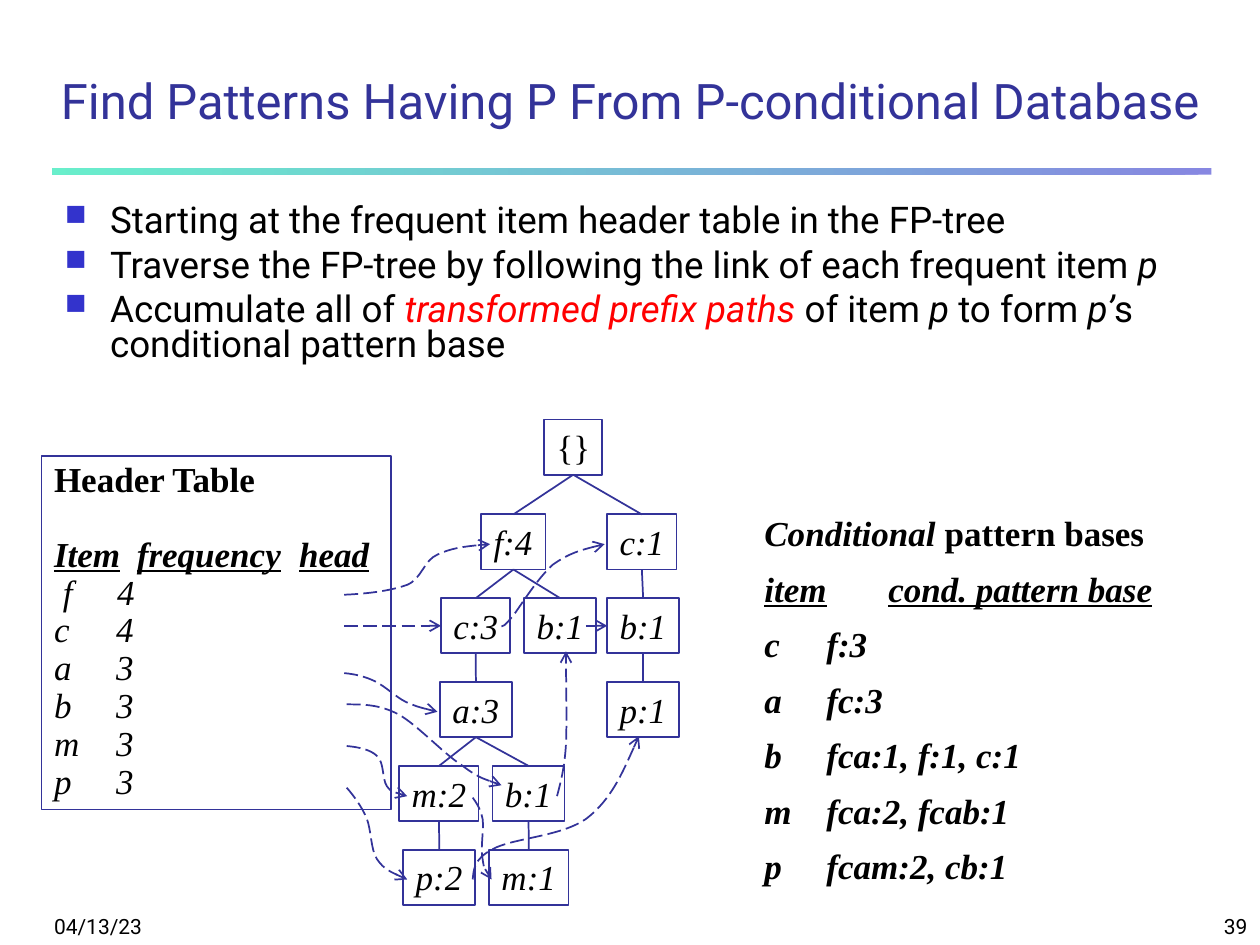
from lxml import etree
from pptx import Presentation
from pptx.dml.color import RGBColor
from pptx.enum.dml import MSO_LINE
from pptx.enum.shapes import MSO_CONNECTOR, MSO_SHAPE
from pptx.enum.text import MSO_ANCHOR, MSO_AUTO_SIZE, PP_ALIGN
from pptx.oxml.ns import qn
from pptx.util import Cm, Pt

COLORS = {"ink": "000000", "navy": "333399", "bullet": "3333CC", "mint": "00E4A8", "red": "FF0000"}
SANS, SERIF = "Roboto", "Times New Roman"
RECTANGLE = MSO_SHAPE.RECTANGLE
STRAIGHT = MSO_CONNECTOR.STRAIGHT
LONG_DASH = MSO_LINE.LONG_DASH
TOP, BOTTOM = MSO_ANCHOR.TOP, MSO_ANCHOR.BOTTOM
LEFT, CENTER, RIGHT = PP_ALIGN.LEFT, PP_ALIGN.CENTER, PP_ALIGN.RIGHT
SIDE_TOP, SIDE_LEFT, SIDE_BOTTOM = 0, 1, 2

NODE_HEIGHT, FIRST_LEVEL, LEVEL_STEP = 1.11, 1.91, 1.69
NODES = {
    "root": ("{}", 0, 10.13, 1.17),
    "f4": ("f:4", 1, 8.86, 1.3),
    "c1": ("c:1", 1, 11.4, 1.4),
    "c3": ("c:3", 2, 8.05, 1.4),
    "b1 middle": ("b:1", 2, 9.73, 1.45),
    "b1 right": ("b:1", 2, 11.4, 1.45),
    "a3": ("a:3", 3, 8.03, 1.45),
    "p1": ("p:1", 3, 11.4, 1.45),
    "m2": ("m:2", 4, 7.21, 1.6),
    "b1 low": ("b:1", 4, 9.09, 1.45),
    "p2": ("p:2", 5, 7.29, 1.45),
    "m1": ("m:1", 5, 9.02, 1.6),
}
EDGES = [("root", "f4"), ("root", "c1"), ("f4", "c3"), ("f4", "b1 middle"), ("c1", "b1 right"),
         ("b1 right", "p1"), ("c3", "a3"), ("a3", "m2"), ("a3", "b1 low"), ("m2", "p2"),
         ("b1 low", "m1")]
STRAIGHT_LINKS = [(6.1, "c3"), (10.97, "b1 right")]
CURVED_LINKS = [
    [(6.1, 3.53), (6.58, 3.51), (7.04, 3.45), (7.37, 3.33), (7.67, 3.2), (7.7, 2.84), (7.98, 2.72),
     (8.26, 2.59), (8.64, 2.54), (9.04, 2.51)],
    [(9.27, 4.17), (9.3, 4.17), (9.32, 4.17), (9.5, 3.96), (9.65, 3.76), (10.01, 3.18),
     (10.31, 2.92), (10.64, 2.69), (11, 2.59), (11.35, 2.51)],
    [(6.1, 5.11), (6.32, 5.13), (6.53, 5.18), (6.73, 5.28), (6.93, 5.38), (7.14, 5.59),
     (7.34, 5.69), (7.57, 5.79), (7.77, 5.84), (7.98, 5.89)],
    [(6.15, 5.74), (6.48, 5.74), (6.81, 5.74), (7.19, 5.94), (7.57, 6.15), (8.1, 6.73),
     (8.46, 6.96), (8.79, 7.21), (9.04, 7.29), (9.27, 7.37)],
    [(10.39, 7.59), (10.46, 7.32), (10.54, 7.04), (10.57, 6.55), (10.59, 6.07), (10.57, 5.36),
     (10.57, 4.67)],
    [(6.15, 6.58), (6.38, 6.6), (6.63, 6.65), (6.76, 6.78), (6.91, 6.91), (6.86, 7.24),
     (6.96, 7.39), (7.06, 7.52), (7.21, 7.54), (7.37, 7.59)],
    [(8.69, 7.62), (8.76, 7.72), (8.84, 7.82), (8.89, 8.05), (8.92, 8.26), (8.84, 8.66),
     (8.89, 8.86), (8.92, 9.07), (8.99, 9.17), (9.07, 9.27)],
    [(6.15, 7.42), (6.3, 7.59), (6.45, 7.8), (6.55, 8.03), (6.65, 8.28), (6.63, 8.66),
     (6.76, 8.86), (6.91, 9.07), (7.14, 9.17), (7.37, 9.27)],
    [(8.69, 9.27), (8.71, 9.07), (8.71, 8.86), (9.09, 8.66), (9.5, 8.43), (10.49, 8.41),
     (11, 8.03), (11.48, 7.65), (11.76, 7.01), (12.04, 6.38)],
]


def rgb(name):
    return RGBColor.from_string(COLORS[name])


def write_runs(paragraph, runs, size, font, color="ink"):
    for text, style in runs:
        run = paragraph.add_run()
        run.text = text
        run.font.size, run.font.name = Pt(size), font
        run.font.bold, run.font.italic = "b" in style, "i" in style
        run.font.underline = "u" in style
        run.font.color.rgb = rgb("red" if "r" in style else color)


def write_paragraphs(frame, rows, size, font, spacing=1.0, before=0, color="ink", align=LEFT):
    for index, runs in enumerate(rows):
        paragraph = frame.add_paragraph() if index else frame.paragraphs[0]
        paragraph.alignment, paragraph.line_spacing = align, spacing
        paragraph.space_before = Pt(before if index else 0)
        write_runs(paragraph, runs, size, font, color)


def set_tabs(paragraph, positions):
    tabs = etree.SubElement(paragraph._p.get_or_add_pPr(), qn("a:tabLst"))
    for position in positions:
        etree.SubElement(tabs, qn("a:tab"), pos=str(Cm(position)), algn="l")


def add_text_box(slide, box, anchor=TOP):
    frame = slide.shapes.add_textbox(*(Cm(value) for value in box)).text_frame
    frame.word_wrap, frame.vertical_anchor = True, anchor
    return frame


def add_outlined_box(slide, box):
    shape = slide.shapes.add_shape(RECTANGLE, *(Cm(value) for value in box))
    shape.shadow.inherit = False
    shape.fill.background()
    style_line(shape)
    shape.text_frame.vertical_anchor = TOP
    return shape


def style_line(shape, arrow=False):
    shape.line.color.rgb, shape.line.width = rgb("navy"), Pt(1)
    if arrow:
        shape.line.dash_style = LONG_DASH
        etree.SubElement(shape.line._get_or_add_ln(), qn("a:tailEnd"), type="arrow")


def add_connector(slide, start, end):
    connector = slide.shapes.add_connector(STRAIGHT, *(Cm(value) for value in start + end))
    etree.SubElement(connector._element.spPr, qn("a:effectLst"))
    return connector


def add_title(slide, box):
    title = slide.shapes.title
    title.left, title.top, title.width, title.height = (Cm(value) for value in box)
    frame = title.text_frame
    frame.auto_size, frame.vertical_anchor = MSO_AUTO_SIZE.NONE, BOTTOM
    write_paragraphs(frame, [[("Find Patterns Having P From P-conditional Database", "")]],
                     28, SANS, 0.9, color="navy", align=CENTER)


def add_rule(slide, box):
    rule = slide.shapes.add_shape(RECTANGLE, *(Cm(value) for value in box))
    rule.shadow.inherit = False
    rule.line.fill.background()
    rule.fill.gradient()
    rule.fill.gradient_angle = 180
    for stop, name in zip(rule.fill.gradient_stops, ("bullet", "mint")):
        stop.color.rgb = rgb(name)
    for color in rule._element.spPr.iter(qn("a:srgbClr")):
        etree.SubElement(color, qn("a:alpha"), val="59000")


def add_bullets(slide, box):
    frame = add_text_box(slide, box)
    write_paragraphs(frame, [
        [("Starting at the frequent item header table in the FP-tree", "")],
        [("Traverse the FP-tree by following the link of each frequent item ", ""), ("p", "i")],
        [("Accumulate all of ", ""), ("transformed prefix paths", "ir"), (" of item ", ""),
         ("p ", "i"), ("to form ", ""), ("p’", "i"), ("s conditional pattern base", "")],
    ], 21, SANS, 0.8, 5.2)
    for paragraph in frame.paragraphs:
        properties = paragraph._p.get_or_add_pPr()
        properties.set("marL", str(Cm(0.91)))
        properties.set("indent", str(-Cm(0.91)))
        color = etree.SubElement(properties, qn("a:buClr"))
        etree.SubElement(color, qn("a:srgbClr"), val=COLORS["bullet"])
        etree.SubElement(properties, qn("a:buSzPct"), val="80000")
        etree.SubElement(properties, qn("a:buChar"), char="■")


def add_header_table(slide, box):
    frame = add_outlined_box(slide, box).text_frame
    frame.word_wrap = True
    counts = [("f", 4), ("c", 4), ("a", 3), ("b", 3), ("m", 3), ("p", 3)]
    rows = [[("Header Table", "b")], [("Item\tfrequency\thead", "biu")]]
    rows += [[(f"{item}\t{count}", "i")] for item, count in counts]
    write_paragraphs(frame, rows, 20, SERIF, 0.9)
    heading, *items = frame.paragraphs[1:]
    heading.space_before = Pt(21)
    set_tabs(heading, [1.67, 4.94])
    items[0]._p.get_or_add_pPr().set("indent", str(Cm(0.18)))
    for paragraph in items:
        set_tabs(paragraph, [1.25])


def add_tree(slide, box):
    left, top = box[:2]
    nodes = {}
    for name, (label, level, offset, width) in NODES.items():
        node_top = top + (FIRST_LEVEL + LEVEL_STEP * (level - 1) if level else 0)
        nodes[name] = add_outlined_box(slide, (left + offset, node_top, width, NODE_HEIGHT))
        frame = nodes[name].text_frame
        frame.word_wrap = False
        write_paragraphs(frame, [[(label, "i" if level else "")]], 20, SERIF)
    for parent, child in EDGES:
        edge = add_connector(slide, (0, 0), (0, 0))
        edge.begin_connect(nodes[parent], SIDE_BOTTOM)
        edge.end_connect(nodes[child], SIDE_TOP)
        style_line(edge)
    link_y = top + FIRST_LEVEL + LEVEL_STEP + NODE_HEIGHT / 2
    for start_x, target in STRAIGHT_LINKS:
        start = (left + start_x, link_y)
        link = add_connector(slide, start, start)
        link.end_connect(nodes[target], SIDE_LEFT)
        style_line(link, arrow=True)
    for points in CURVED_LINKS:
        add_curve(slide, [(Cm(left + x), Cm(top + y)) for x, y in points])


def add_curve(slide, points):
    builder = slide.shapes.build_freeform(*points[0])
    builder.add_line_segments(points[1:], close=False)
    shape = builder.convert_to_shape()
    shape.shadow.inherit = False
    shape.fill.background()
    style_line(shape, arrow=True)
    outline = next(shape._element.iter(qn("a:path")))
    segments = outline.findall(qn("a:lnTo"))
    for first in range(0, len(segments), 3):
        curve = etree.SubElement(outline, qn("a:cubicBezTo"))
        for segment in segments[first:first + 3]:
            curve.append(segment[0])
            outline.remove(segment)


def add_pattern_bases(slide, box):
    frame = add_text_box(slide, box)
    bases = [("c", "f:3"), ("a", "fc:3"), ("b", "fca:1, f:1, c:1"), ("m", "fca:2, fcab:1"),
             ("p", "fcam:2, cb:1")]
    rows = [[("Conditional ", "bi"), ("pattern bases", "b")],
            [("item", "biu"), ("\t", "bi"), ("cond. pattern base", "biu")]]
    rows += [[(f"{item}\t{base}", "bi")] for item, base in bases]
    write_paragraphs(frame, rows, 20, SERIF, 0.8, 12.5)
    frame.paragraphs[0].line_spacing = 1.0
    for index, paragraph in enumerate(frame.paragraphs[1:]):
        set_tabs(paragraph, [1.25] if index else [2.5])


def add_footer(slide, box):
    left, top, width, height = box
    part = 5.29
    for text, x, align in (("04/13/23", left, LEFT), ("39", left + width - part, RIGHT)):
        frame = add_text_box(slide, (x, top, part, height), BOTTOM)
        write_paragraphs(frame, [[(text, "")]], 12, SANS, align=align)


def main():
    presentation = Presentation()
    presentation.slide_width, presentation.slide_height = Cm(25.4), Cm(19.05)
    slide = presentation.slides.add_slide(presentation.slide_layouts[5])
    add_rule(slide, (1.06, 3.39, 23.36, 0.13))
    add_title(slide, (0.85, 0.85, 23.7, 1.9))
    add_bullets(slide, (1.06, 4.02, 23.28, 4.23))
    add_pattern_bases(slide, (15.16, 10.19, 9.25, 7.82))
    add_header_table(slide, (0.84, 9.2, 7.04, 7.12))
    add_tree(slide, (0.84, 8.46, 12.85, 9.78))
    add_footer(slide, (0.84, 17.98, 24.56, 1.07))
    presentation.save("out.pptx")


if __name__ == "__main__":
    main()
